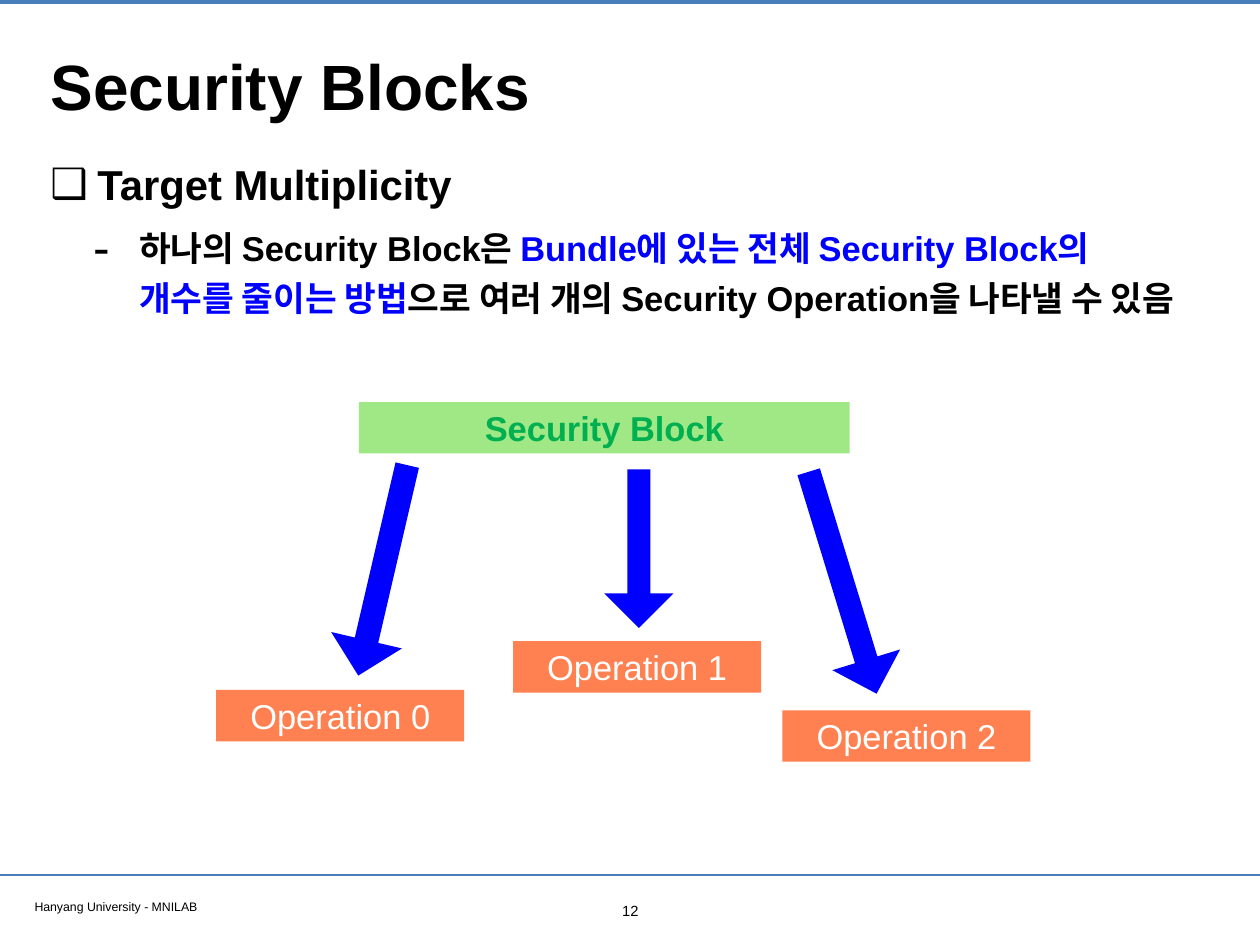
from lxml.etree import SubElement
from pptx import Presentation
from pptx.dml.color import RGBColor
from pptx.enum.shapes import MSO_CONNECTOR, MSO_SHAPE
from pptx.enum.text import MSO_ANCHOR, MSO_AUTO_SIZE, PP_ALIGN
from pptx.oxml.ns import qn
from pptx.util import Inches, Pt

COLORS = {
    "rule": "4A7EBB",
    "text": "000000",
    "accent": "0000FF",
    "block": "A0E886",
    "block_text": "00B050",
    "operation": "FF8050",
    "operation_text": "FFFFFF",
}


def rgb(name):
    return RGBColor.from_string(COLORS[name])


def place(shape, left, top, width, height):
    shape.left, shape.top = Inches(left), Inches(top)
    shape.width, shape.height = Inches(width), Inches(height)


def set_frame(frame, anchor=MSO_ANCHOR.TOP):
    frame.word_wrap = True
    frame.auto_size = MSO_AUTO_SIZE.NONE
    frame.vertical_anchor = anchor
    frame.margin_left = frame.margin_right = Inches(0.06)
    frame.margin_top = frame.margin_bottom = Inches(0.06)


def set_font(paragraph, size, color="text", bold=False):
    font = paragraph.font
    font.name, font.size, font.bold = "Arial", Pt(size), bold
    font.color.rgb = rgb(color)


def write_line(frame, text, size, color="text", bold=False, align=PP_ALIGN.LEFT):
    paragraph = frame.paragraphs[0]
    paragraph.text = text
    paragraph.alignment = align
    set_font(paragraph, size, color, bold)


def add_rule(slide, y, width):
    rule = slide.shapes.add_connector(
        MSO_CONNECTOR.STRAIGHT, 0, Inches(y), Inches(14.22), Inches(y))
    rule.line.color.rgb = rgb("rule")
    rule.line.width = Pt(width)
    SubElement(rule._element.spPr, qn("a:effectLst"))


def add_label(slide, text, box, size, align=PP_ALIGN.LEFT):
    label = slide.shapes.add_textbox(*map(Inches, box))
    set_frame(label.text_frame)
    write_line(label.text_frame, text, size, align=align)


def add_filled(slide, preset, box, fill):
    shape = slide.shapes.add_shape(preset, *map(Inches, box))
    shape.shadow.inherit = False
    shape.fill.solid()
    shape.fill.fore_color.rgb = rgb(fill)
    shape.line.fill.background()
    return shape


def add_box(slide, text, box, fill, color, bold=False):
    frame = add_filled(slide, MSO_SHAPE.RECTANGLE, box, fill).text_frame
    set_frame(frame, MSO_ANCHOR.MIDDLE)
    write_line(frame, text, 28, color, bold, PP_ALIGN.CENTER)


def add_arrow(slide, box, rotation):
    arrow = add_filled(slide, MSO_SHAPE.DOWN_ARROW, box, "accent")
    arrow.adjustments[0], arrow.adjustments[1] = 0.33, 0.5
    arrow.rotation = rotation


def add_bullet(paragraph, char, indent, hanging, size_percent=100):
    properties = paragraph._p.get_or_add_pPr()
    properties.set("marL", str(Inches(indent)))
    properties.set("indent", str(-Inches(hanging)))
    SubElement(properties, qn("a:buSzPct"), val=str(size_percent * 1000))
    SubElement(properties, qn("a:buFont"), typeface="Arial")
    SubElement(properties, qn("a:buChar"), char=char)


def fill_title(title):
    place(title, 0.51, 0.28, 13.21, 1.35)
    set_frame(title.text_frame, MSO_ANCHOR.MIDDLE)
    write_line(title.text_frame, "Security Blocks", 52, bold=True)


def fill_body(body):
    place(body, 0.51, 1.62, 12.82, 6.77)
    frame = body.text_frame
    set_frame(frame)

    topic = frame.paragraphs[0]
    topic.text = "Target Multiplicity"
    add_bullet(topic, "❑", 0.53, 0.53)
    set_font(topic, 34, bold=True)

    detail = frame.add_paragraph()
    detail.level = 1
    add_bullet(detail, "-", 1, 0.52, 145)
    set_font(detail, 28, bold=True)
    for text, color in (
        ("하나의 Security Block은 ", "text"),
        ("Bundle에 있는 전체 Security Block의 개수를 줄이는 방법", "accent"),
        ("으로 여러 개의 Security Operation을 나타낼 수 있음", "text"),
    ):
        run = detail.add_run()
        run.text = text
        run.font.color.rgb = rgb(color)

    for paragraph, space in ((topic, 0), (detail, 8)):
        paragraph.line_spacing = 1.2
        paragraph.space_before = Pt(space)


def main():
    presentation = Presentation()
    presentation.slide_width = Inches(14.22)
    presentation.slide_height = Inches(10.67)
    slide = presentation.slides.add_slide(presentation.slide_layouts[1])

    # Header and footer
    add_rule(slide, 0.02, 3.2)
    add_rule(slide, 9.88, 2)
    add_label(slide, "Hanyang University - MNILAB", (0.33, 10.09, 5.46, 0.26), 10)
    add_label(slide, "12", (6.92, 10.12, 0.39, 0.31), 12, PP_ALIGN.CENTER)

    # Title and list
    fill_title(slide.shapes.title)
    fill_body(slide.placeholders[1])

    # One security block covering several operations
    add_box(slide, "Security Block", (4.05, 4.54, 5.54, 0.58),
            "block", "block_text", bold=True)
    for number, (left, top) in enumerate(((2.44, 7.79), (5.79, 7.24), (8.83, 8.02))):
        add_box(slide, f"Operation {number}", (left, top, 2.8, 0.58),
                "operation", "operation_text")

    # Arrows from the block to its operations
    add_arrow(slide, (3.91, 5.22, 0.82, 2.44), 13.1)
    add_arrow(slide, (6.82, 5.3, 0.78, 1.79), 0)
    add_arrow(slide, (9.11, 5.27, 0.8, 2.62), 343)

    presentation.save("out.pptx")


if __name__ == "__main__":
    main()
